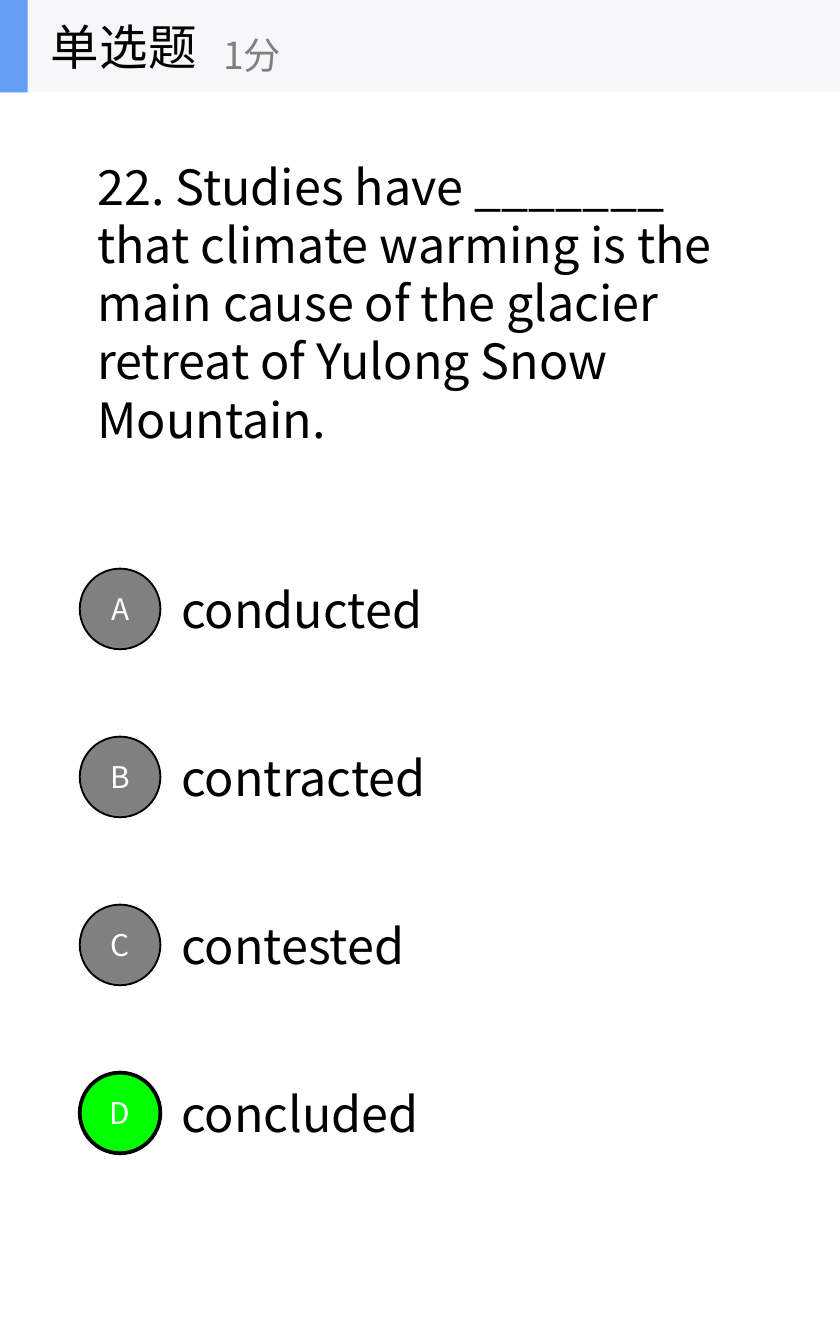
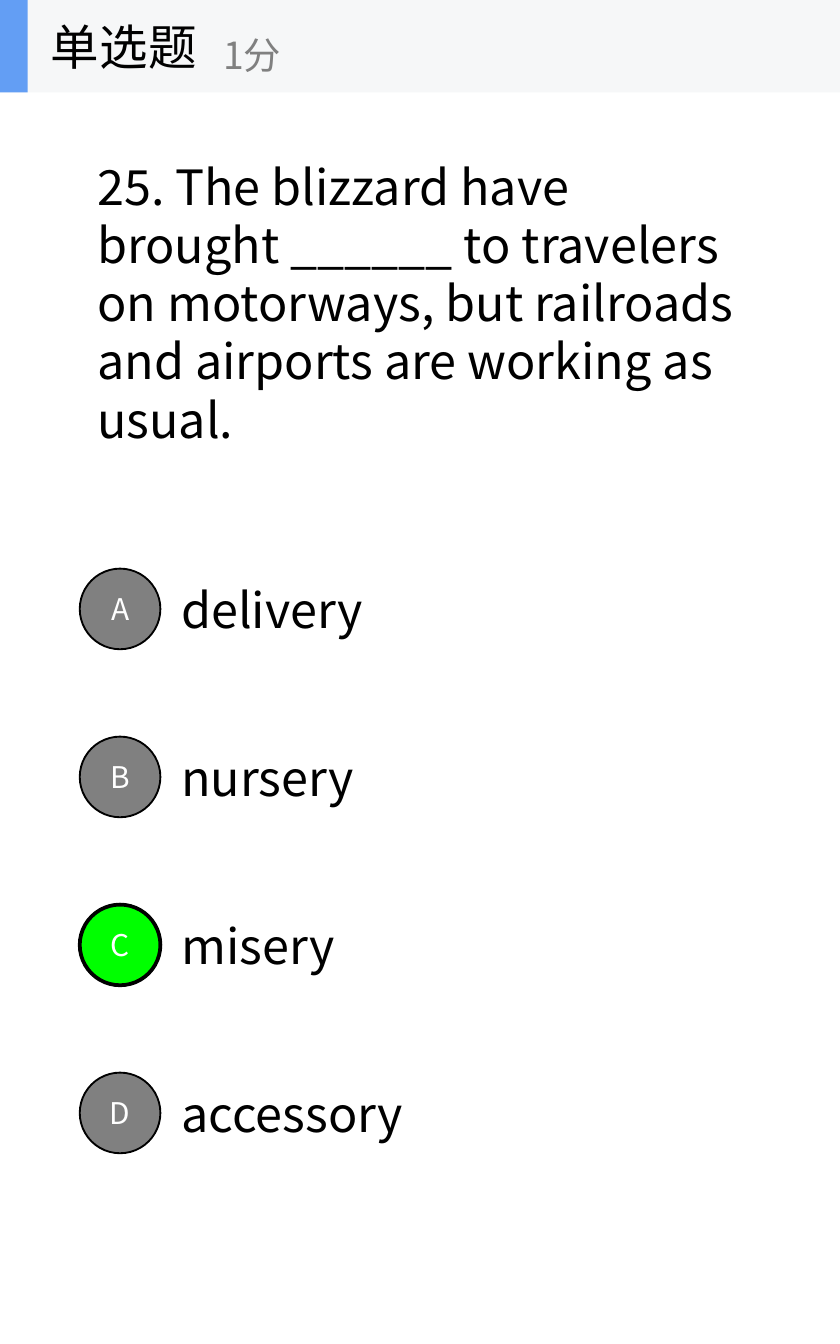
import dataclasses
import typing

import lxml.etree
import pptx
import pptx.dml.color
import pptx.enum.shapes
import pptx.enum.text
import pptx.oxml.ns
import pptx.util

SHAPE = pptx.enum.shapes.MSO_SHAPE
ALIGN = pptx.enum.text.PP_ALIGN
MIDDLE = pptx.enum.text.MSO_ANCHOR.MIDDLE

WIDTH, HEIGHT = pptx.util.Inches(6.25), pptx.util.Inches(10)
COLUMN, ROW = WIDTH / 10, HEIGHT / 32


@dataclasses.dataclass(frozen=True)
class Theme:
    font: str = "Noto Sans CJK SC"
    ink: str = "000000"
    muted: str = "808080"
    light: str = "FFFFFF"
    band: str = "F6F7F8"
    accent: str = "639EF4"
    correct: str = "00FF00"
    body: int = 26
    points: int = 20
    badge: int = 16


class Box(typing.NamedTuple):
    """A place on the slide, in grid columns and rows."""
    left: float
    top: float
    width: float
    height: float

    def place(self) -> tuple[int, ...]:
        units = (COLUMN, ROW, COLUMN, ROW)
        return tuple(round(size * unit) for size, unit in zip(self, units))


class Quiz(typing.NamedTuple):
    prompt: str
    choices: tuple[str, ...]
    answer: str


THEME = Theme()
BAND = Box(0, 0, 10, 2.2)
STRIPE = Box(0, 0, 0.33, 2.2)
TITLE = Box(0.45, 0, 3.33, 2.2)
POINTS = Box(2.5, 0.4, 4, 1.8)
PROMPT = Box(1, 2.2, 8, 10)
CHOICE = Box(2, 13, 7, 3)
BADGE = Box(0.95, 13.54, 0.96, 1.92)
STEP = 4

QUIZZES = (
    Quiz("22. Studies have _______ that climate warming is the main cause of "
         "the glacier retreat of Yulong Snow Mountain.",
         ("conducted", "contracted", "contested", "concluded"), "D"),
    Quiz("25. The blizzard have brought ______ to travelers on motorways, "
         "but railroads and airports are working as usual.",
         ("delivery", "nursery", "misery", "accessory"), "C"),
)


def shade(color: str) -> pptx.dml.color.RGBColor:
    return pptx.dml.color.RGBColor.from_string(color)


def write(shape, text: str, size: int, color: str, align=ALIGN.LEFT,
          wrap: bool = True) -> None:
    frame = shape.text_frame
    frame.text = text
    frame.word_wrap = wrap
    frame.vertical_anchor = MIDDLE
    for line in frame.paragraphs:
        line.alignment = align
        for run in line.runs:
            run.font.size = pptx.util.Pt(size)
            run.font.color.rgb = shade(color)
            run.font.name = THEME.font
            east = lxml.etree.SubElement(run.font._element,
                                         pptx.oxml.ns.qn("a:ea"))
            east.set("typeface", THEME.font)


def label(shapes, box: Box, text: str, size: int = THEME.body,
          color: str = THEME.ink, wrap: bool = True) -> None:
    write(shapes.add_textbox(*box.place()), text, size, color, wrap=wrap)


def solid(shapes, kind, box: Box, fill: str, edge: int = 0):
    """Add a filled shape, outlined only if edge is above zero."""
    shape = shapes.add_shape(kind, *box.place())
    shape.shadow.inherit = False
    shape.fill.solid()
    shape.fill.fore_color.rgb = shade(fill)
    if edge:
        shape.line.color.rgb = shade(THEME.ink)
        shape.line.width = pptx.util.Pt(edge)
    else:
        shape.line.fill.background()
    return shape


def header(slide) -> None:
    shapes = slide.shapes.add_group_shape().shapes
    solid(shapes, SHAPE.RECTANGLE, BAND, THEME.band)
    solid(shapes, SHAPE.RECTANGLE, STRIPE, THEME.accent)
    label(shapes, TITLE, "单选题", wrap=False)
    label(shapes, POINTS, "1分", THEME.points, THEME.muted, wrap=False)


def badge(slide, box: Box, letter: str, correct: bool) -> None:
    fill, edge = (THEME.correct, 2) if correct else (THEME.muted, 1)
    disc = solid(slide.shapes, SHAPE.OVAL, box, fill, edge)
    disc.text_frame.margin_left = disc.text_frame.margin_right = 0
    write(disc, letter, THEME.badge, THEME.light, ALIGN.CENTER)


def build(slide, quiz: Quiz) -> None:
    label(slide.shapes, PROMPT, quiz.prompt)
    for index, (letter, choice) in enumerate(zip("ABCD", quiz.choices)):
        shift = index * STEP
        label(slide.shapes, CHOICE._replace(top=CHOICE.top + shift), choice)
        badge(slide, BADGE._replace(top=BADGE.top + shift), letter,
              letter == quiz.answer)
    header(slide)


def main() -> None:
    deck = pptx.Presentation()
    deck.slide_width, deck.slide_height = WIDTH, HEIGHT
    for quiz in QUIZZES:
        build(deck.slides.add_slide(deck.slide_layouts[6]), quiz)
    deck.save("out.pptx")


if __name__ == "__main__":
    main()
